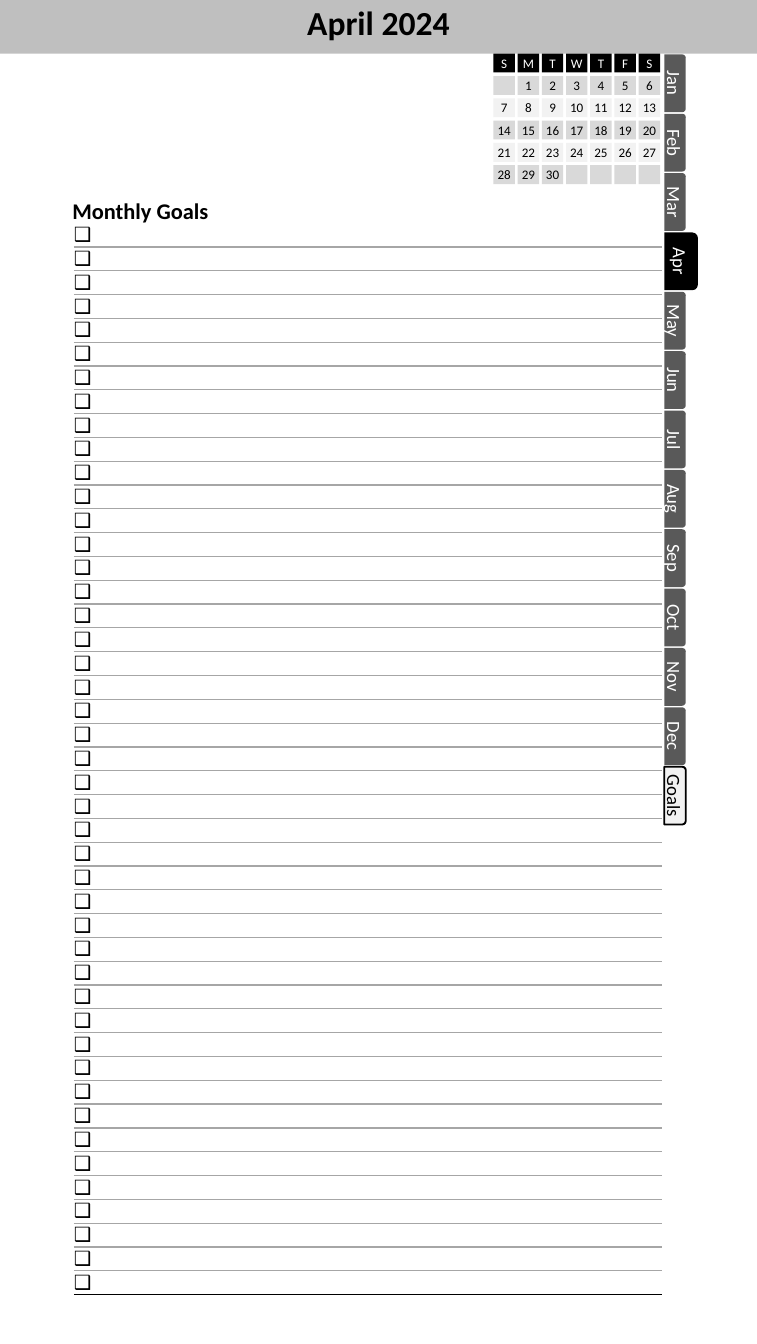
from lxml.etree import SubElement
from pptx import Presentation
from pptx.dml.color import RGBColor
from pptx.enum.shapes import MSO_SHAPE
from pptx.enum.text import MSO_ANCHOR, MSO_AUTO_SIZE, PP_ALIGN
from pptx.oxml.ns import qn
from pptx.util import Inches, Pt

# Content
TITLE = "April 2024"
HEAD = "Monthly Goals"
TABS = ["Jan", "Feb", "Mar", "Apr", "May", "Jun", "Jul",
        "Aug", "Sep", "Oct", "Nov", "Dec", "Goals"]
DAYS = ["S", "M", "T", "W", "T", "F", "S"]
FIRST, LAST, WEEKS = 1, 30, 5   # weekday column of day 1, last day, weeks
GOALS = 45

HEX = {"band": "BFBFBF", "tab": "595959", "black": "000000", "white": "FFFFFF",
       "odd": "D9D9D9", "even": "F2F2F2", "rule": "A6A6A6"}
FONT = "Calibri"
NO_STYLE = "{2D5ABB26-0587-4C30-8999-92F81FD0307C}"


def color(name):
    return RGBColor.from_string(HEX[name])


def write(frame, text, size, ink="black", bold=False, align=PP_ALIGN.CENTER):
    para = frame.paragraphs[0]
    para.alignment = align
    run = para.add_run()
    run.text = text
    for key, val in {"name": FONT, "size": Pt(size), "bold": bold}.items():
        setattr(run.font, key, val)
    run.font.color.rgb = color(ink)


def pad(frame, gap=0):
    for side in ("left", "top", "right", "bottom"):
        setattr(frame, f"margin_{side}", Inches(gap))


def box(shapes, kind, x, y, w, h, fill, text="", size=7, ink="black"):
    shape = shapes.add_shape(kind, Inches(x), Inches(y), Inches(w), Inches(h))
    shape.shadow.inherit = False
    shape.fill.solid()
    shape.fill.fore_color.rgb = color(fill)
    shape.line.fill.background()
    frame = shape.text_frame
    pad(frame)
    frame.vertical_anchor = MSO_ANCHOR.MIDDLE
    if text:
        write(frame, text, size, ink)
    return shape


def rule(cell, ink, width):
    line = SubElement(cell._tc.get_or_add_tcPr(), qn("a:lnB"), w=str(Pt(width)))
    fill = SubElement(line, qn("a:solidFill"))
    SubElement(fill, qn("a:srgbClr"), val=HEX[ink])


def check(para):
    props = para._p.get_or_add_pPr()
    props.set("marL", str(Inches(0.17)))
    props.set("indent", str(-Inches(0.17)))
    SubElement(props, qn("a:buFont"), typeface=FONT)
    SubElement(props, qn("a:buChar"), char="❑")


deck = Presentation()
deck.slide_width, deck.slide_height = Inches(5.63), Inches(10)
slide = deck.slides.add_slide(deck.slide_layouts[5])
shapes = slide.shapes

# Header band, behind the title
band = box(shapes, MSO_SHAPE.RECTANGLE, 0, 0, 5.63, 0.4, "band")
shapes._spTree.insert(2, band._element)
title = shapes.title
for key, val in {"left": 1.27, "top": 0, "width": 3.09, "height": 0.4}.items():
    setattr(title, key, Inches(val))
frame = title.text_frame
frame.auto_size = MSO_AUTO_SIZE.NONE
frame.vertical_anchor = MSO_ANCHOR.TOP
write(frame, TITLE, 18, bold=True)
frame.paragraphs[0].line_spacing = 0.9

# Goal list
tall = 7.97
grid = shapes.add_table(GOALS, 1, Inches(0.55), Inches(1.66), Inches(4.37), Inches(tall))
table = grid.table
table.first_row = table.horz_banding = False
table._tbl.tblPr.find(qn("a:tableStyleId")).text = NO_STYLE
for num, row in enumerate(table.rows, 1):
    row.height = Inches(tall / GOALS)
    cell = row.cells[0]
    pad(cell)
    cell.vertical_anchor = MSO_ANCHOR.MIDDLE
    rule(cell, *(("black", 1) if num == GOALS else ("rule", 0.75)))
    cell.fill.background()
    write(cell.text_frame, " ", 10.5, align=PP_ALIGN.LEFT)
    check(cell.text_frame.paragraphs[0])

head = shapes.add_textbox(Inches(0.44), Inches(1.42), Inches(1.23), Inches(0.3))
head.text_frame.word_wrap = False
write(head.text_frame, HEAD, 12, bold=True, align=PP_ALIGN.LEFT)

# Month tabs, turned to run down the right edge
LOOK = {"Apr": ("black", "white"), "Goals": ("even", "black")}
long = 0.43
for num, name in enumerate(TABS):
    fill, ink = LOOK.get(name, ("tab", "white"))
    deep = 0.25 if name == "Apr" else 0.16
    mid = 0.62 + num * 5.3 / 12
    tab = box(shapes, MSO_SHAPE.ROUND_2_SAME_RECTANGLE,
              4.94 + deep / 2 - long / 2, mid - deep / 2, long, deep,
              fill, name, 10, ink)
    tab.rotation = 90
    if name == "Goals":
        tab.line.color.rgb = color("black")
        tab.line.width = Pt(1)

# Small calendar
month = shapes.add_group_shape().shapes
for row in range(WEEKS + 1):
    for col, day in enumerate(DAYS):
        if row:
            date = (row - 1) * 7 + col - FIRST + 1
            text = str(date) if 1 <= date <= LAST else ""
            fill, ink = ("odd" if row % 2 else "even"), "black"
        else:
            text, fill, ink = day, "black", "white"
        box(month, MSO_SHAPE.RECTANGLE, 3.67 + col * 0.18, 0.4 + row * 0.83 / 5,
            0.16, 0.14, fill, text, ink=ink)

deck.save("out.pptx")
